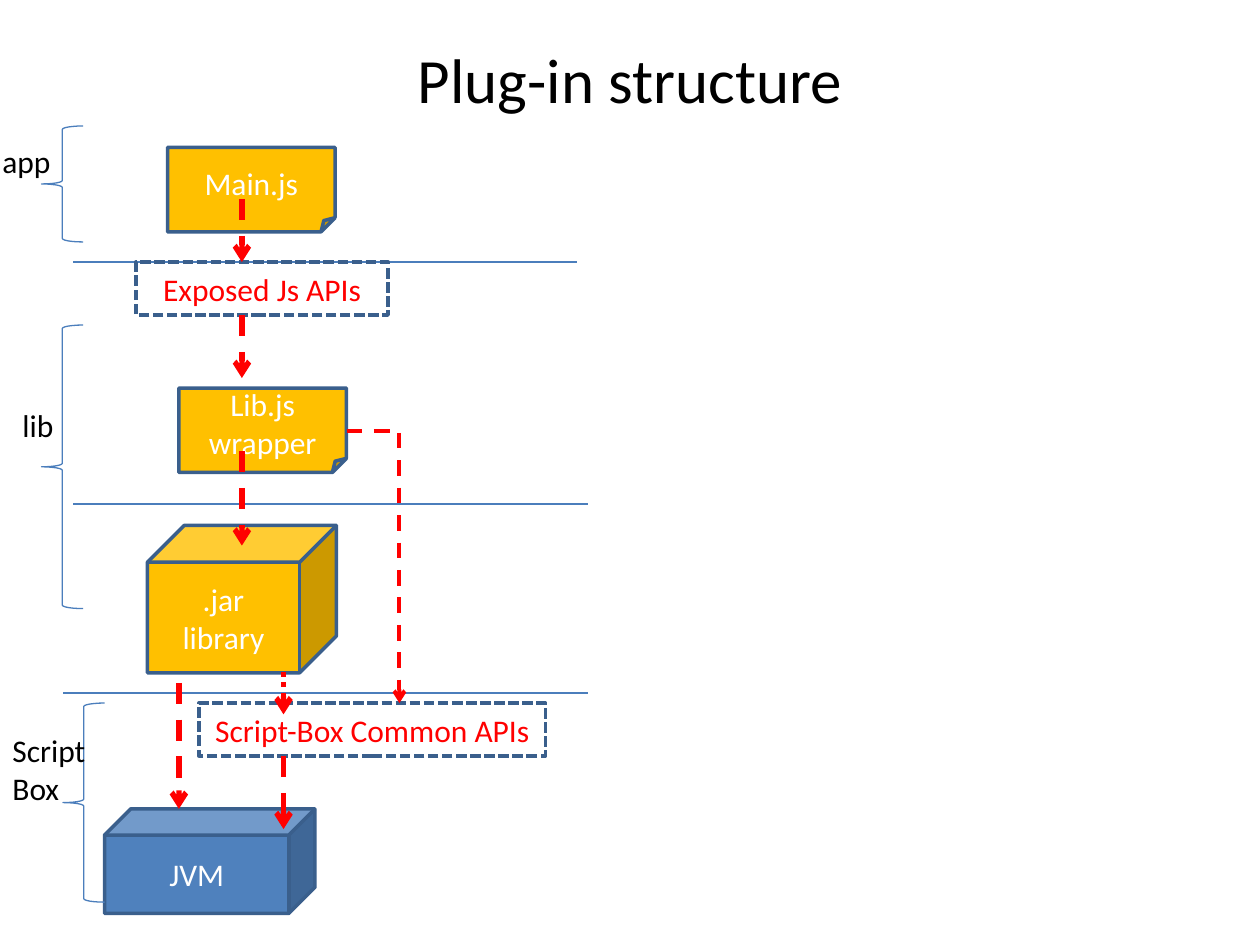
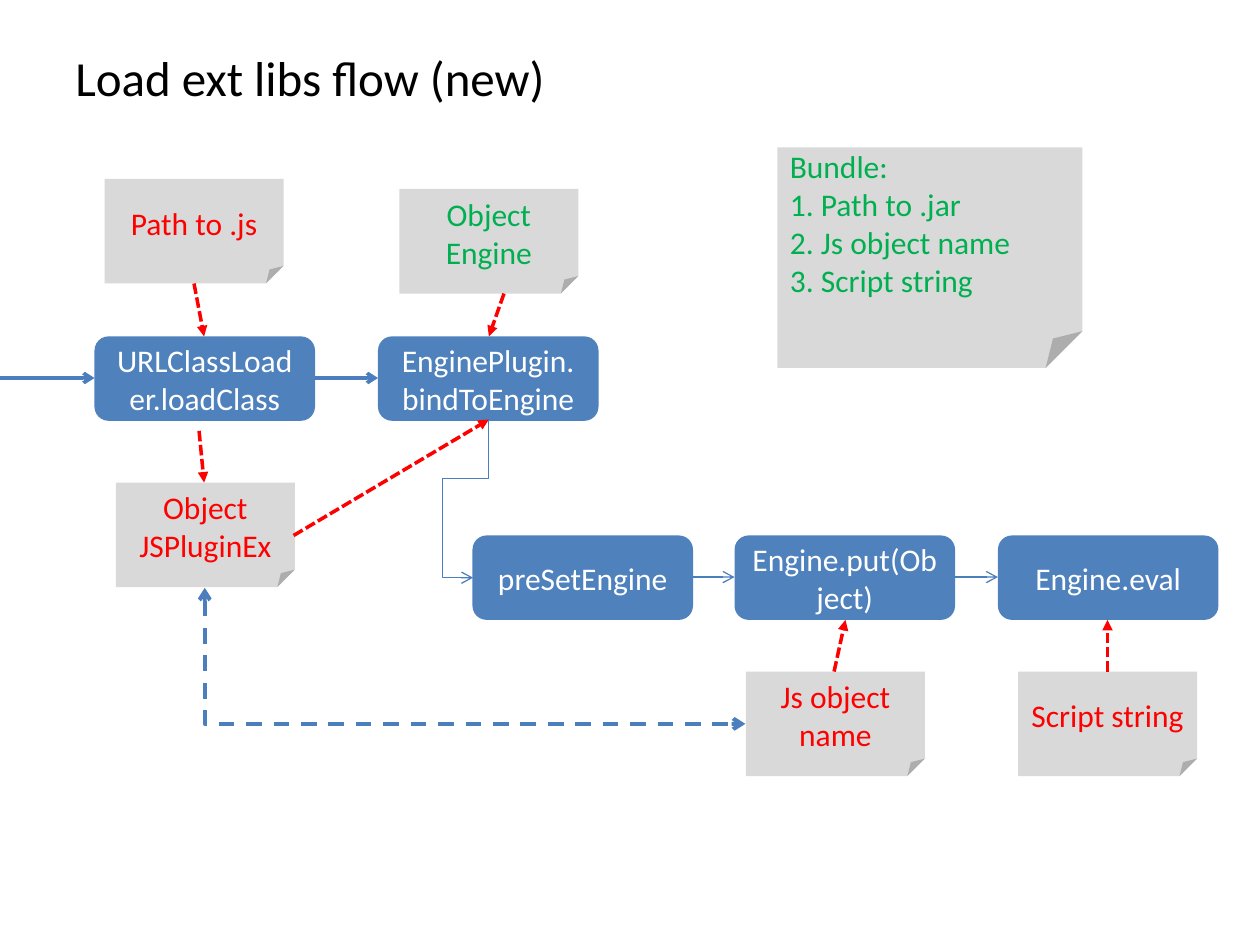
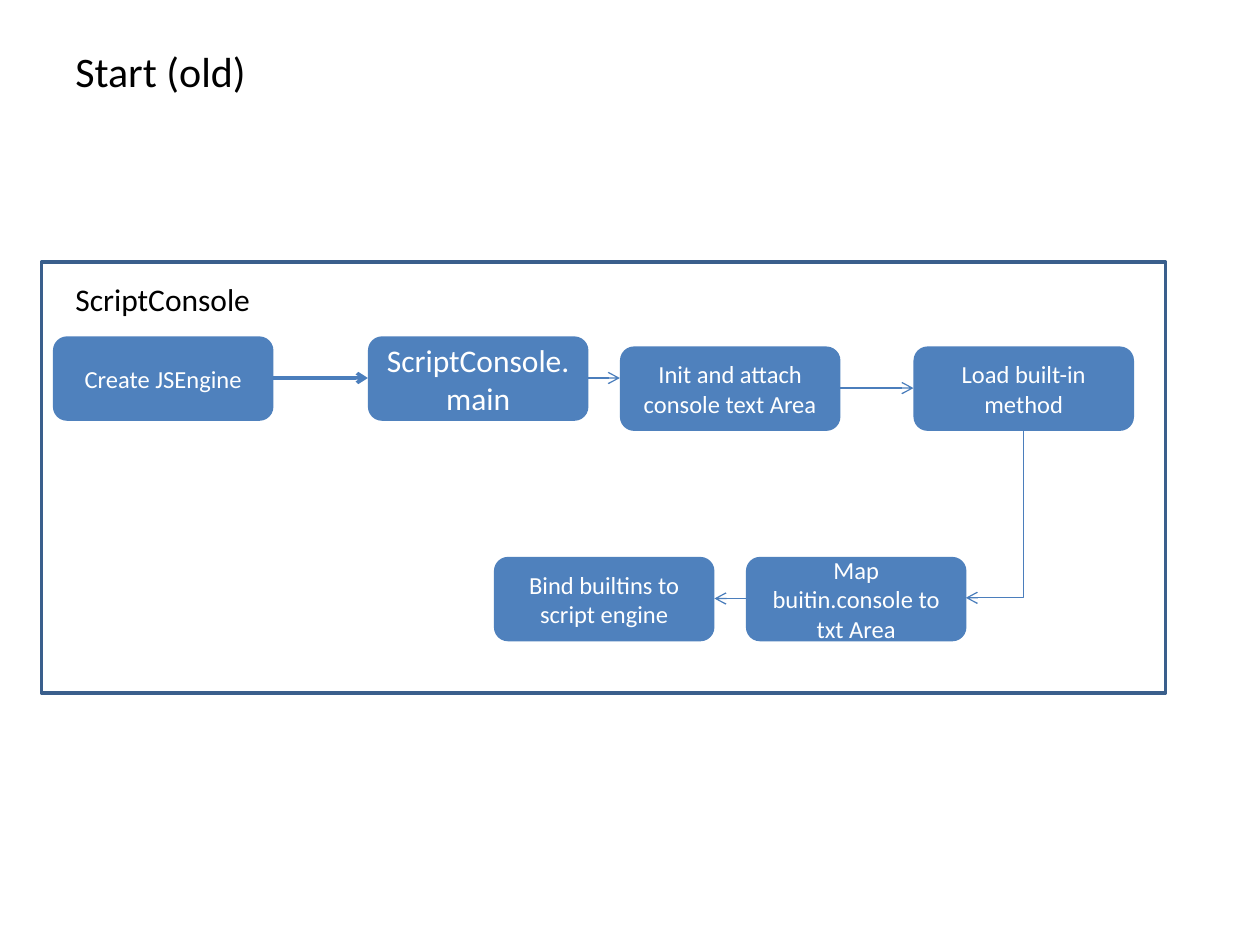
from lxml import etree
from pptx import Presentation
from pptx.dml.color import RGBColor
from pptx.enum import dml, shapes, text
from pptx.oxml.ns import qn
from pptx.util import Inches, Pt

BLUE = RGBColor(0x4F, 0x81, 0xBD)
LINE_BLUE = RGBColor(0x4B, 0x7E, 0xBC)
EDGE = RGBColor(0x3A, 0x5F, 0x8C)
GOLD = RGBColor(0xFF, 0xC0, 0x00)
GREY = RGBColor(0xD9, 0xD9, 0xD9)
RED = RGBColor(0xFF, 0x00, 0x00)
GREEN = RGBColor(0x00, 0xB0, 0x50)
WHITE = RGBColor(0xFF, 0xFF, 0xFF)
BLACK = RGBColor(0x00, 0x00, 0x00)

KIND = shapes.MSO_SHAPE
DASH = dml.MSO_LINE.DASH
SHORT_DASH = dml.MSO_LINE.SQUARE_DOT  # sysDash would be SQUARE_DOT's neighbour
ROUND_DOT = dml.MSO_LINE.ROUND_DOT
LEFT, CENTER = text.PP_ALIGN.LEFT, text.PP_ALIGN.CENTER
TOP, MIDDLE = text.MSO_ANCHOR.TOP, text.MSO_ANCHOR.MIDDLE
FONT = "Calibri"


def add_box(page, kind, place, words="", fill=None, edge=None, width=2, dash=None,
            size=18, color=WHITE, align=CENTER, wrap=True, frame_format=None):
    """Add a preset shape, or a text box when kind is None."""
    place = [Inches(value) for value in place]
    if kind is None:
        box = page.shapes.add_textbox(*place)
    else:
        box = page.shapes.add_shape(kind, *place)
        box.shadow.inherit = False
        if fill is None:
            box.fill.background()
        else:
            box.fill.solid()
            box.fill.fore_color.rgb = fill
        if edge is None:
            box.line.fill.background()
        else:
            box.line.color.rgb = edge
            box.line.width = Pt(width)
            if dash:
                set_dash = etree.SubElement(box.line._get_or_add_ln(), qn("a:prstDash"))
                set_dash.set("val", dash)
    if words:
        frame = box.text_frame
        frame.word_wrap = wrap
        for name, value in (frame_format or {}).items():
            setattr(frame, name, value)
        for index, line in enumerate(words.split("\n")):
            para = frame.paragraphs[0] if index == 0 else frame.add_paragraph()
            para.alignment = align
            span = para.add_run()
            span.text = line
            span.font.color.rgb = color
            for name, value in {"name": FONT, "size": Pt(size)}.items():
                setattr(span.font, name, value)
    return box


def add_line(page, start, end, color=LINE_BLUE, width=0.75, dash=None, head=None, tail=None,
             bend=None, rotation=0, adjust=()):
    """Add a straight line, or a bent one when bend names its preset."""
    style = shapes.MSO_CONNECTOR.ELBOW if bend else shapes.MSO_CONNECTOR.STRAIGHT
    line = page.shapes.add_connector(style, *[Inches(value) for value in (*start, *end)])
    line.line.color.rgb = color
    line.line.width = Pt(width)
    properties = line._element.spPr
    outline = line.line._get_or_add_ln()
    for tag, attribute, value in (("a:prstDash", "val", dash), ("a:headEnd", "type", head),
                                  ("a:tailEnd", "type", tail)):
        if value:
            etree.SubElement(outline, qn(tag)).set(attribute, value)
    etree.SubElement(properties, qn("a:effectLst"))
    if bend:
        properties.find(qn("a:xfrm")).set("rot", str(rotation * 60000))
        preset = properties.find(qn("a:prstGeom"))
        preset.set("prst", bend)
        guides = preset.find(qn("a:avLst"))
        for index, value in enumerate(adjust, 1):
            guide = etree.SubElement(guides, qn("a:gd"))
            guide.set("name", f"adj{index}")
            guide.set("fmla", f"val {round(value * 100000)}")


deck = Presentation()
deck.slide_width, deck.slide_height = Inches(10), Inches(7.5)

# Pages and titles
pages = []
for title, top, height, size, align in (
        ("Plug-in structure", 0, 1.25, 36, CENTER),
        ("Load ext libs flow (new)", 0.3, 0.62, 28, LEFT),
        ("Start (old)", 0.3, 0.53, 24, LEFT)):
    page = deck.slides.add_slide(deck.slide_layouts[6])
    add_box(page, None, (0.5, top, 9, height), title, size=size, color=BLACK, align=align,
            frame_format={"vertical_anchor": MIDDLE})
    pages.append(page)
structure, loading, starting = pages

# Structure: layer separators
for left, right, y in ((0.58, 4.58, 2.08), (0.58, 4.67, 4), (0.5, 4.67, 5.5)):
    add_line(structure, (left, y), (right, y))

# Structure: files, libraries and interfaces
for kind, place, words, fill in (
        (KIND.FOLDED_CORNER, (1.33, 1.17, 1.33, 0.67), "Main.js", GOLD),
        (KIND.FOLDED_CORNER, (1.42, 3.08, 1.33, 0.67), "Lib.js wrapper", GOLD),
        (KIND.CUBE, (1.17, 4.17, 1.5, 1.17), ".jar library", GOLD),
        (KIND.CUBE, (0.83, 6.42, 1.67, 0.83), "JVM", BLUE)):
    add_box(structure, kind, place, words, fill, EDGE)
for place, words in (((1.08, 2.08, 2, 0.42), "Exposed Js APIs"),
                     ((1.58, 5.58, 2.75, 0.42), "Script-Box Common APIs")):
    add_box(structure, KIND.RECTANGLE, place, words, edge=EDGE, dash="sysDash", color=RED)

# Structure: calls between layers
for x, top, bottom, dash in (
        (1.92, 1.58, 2.08, "dash"), (1.92, 2.5, 3, "dash"), (1.92, 3.58, 4.33, "dash"),
        (2.25, 5.33, 5.67, "sysDot"), (1.42, 5.42, 6.42, "dash"), (2.25, 6, 6.58, "dash")):
    add_line(structure, (x, top), (x, bottom), RED, 3, dash, tail="arrow")
add_line(structure, (2.75, 3.42), (3.17, 5.58), RED, 2.25, "dash", tail="arrow",
         bend="bentConnector2")

# Structure: braces with layer names
for brace, label, words in (
        ((0.33, 1, 0.33, 0.92), (-0.08, 1.08, 0.59, 0.4), "app"),
        ((0.33, 2.58, 0.33, 2.25), (0.08, 3.17, 0.45, 0.4), "lib"),
        ((0.5, 5.58, 0.33, 1.58), (0, 5.75, 0.79, 0.71), "Script\nBox")):
    add_box(structure, KIND.LEFT_BRACE, brace, edge=LINE_BLUE, width=0.75)
    add_box(structure, None, label, words, color=BLACK, align=LEFT, wrap=False)

# Loading and starting: steps
for page, left, top, words, size in (
        (loading, 0.75, 2.67, "URLClassLoader.loadClass", 18),
        (loading, 3, 2.67, "EnginePlugin.bindToEngine", 18),
        (loading, 3.75, 4.25, "preSetEngine", 18),
        (loading, 5.83, 4.25, "Engine.put(Object)", 18),
        (loading, 7.92, 4.25, "Engine.eval", 18),
        (starting, 0.42, 2.67, "Create JSEngine", 14),
        (starting, 2.92, 2.67, "ScriptConsole.main", 18),
        (starting, 4.92, 2.75, "Init and attach console text Area", 14),
        (starting, 7.25, 2.75, "Load built-in method", 14),
        (starting, 5.92, 4.42, "Map buitin.console to txt Area", 14),
        (starting, 3.92, 4.42, "Bind builtins to script engine", 14)):
    add_box(page, KIND.ROUNDED_RECTANGLE, (left, top, 1.75, 0.67), words, BLUE, size=size)

# Loading: data notes
for left, top, words, color in (
        (0.83, 1.42, "Path to .js", RED), (3.17, 1.5, "Object Engine", GREEN),
        (0.92, 3.83, "Object JSPluginEx", RED), (5.92, 5.33, "Js object name", RED),
        (8.08, 5.33, "Script string", RED)):
    add_box(loading, KIND.FOLDED_CORNER, (left, top, 1.42, 0.83), words, GREY, color=color)
add_box(loading, KIND.FOLDED_CORNER, (6.17, 1.17, 2.42, 1.75),
        "Bundle:\n1. Path to .jar\n2. Js object name\n3. Script string", GREY,
        color=GREEN, align=LEFT, frame_format={"vertical_anchor": TOP, "margin_top": 0})

# Loading: data arrows
for start, end in (
        ((1.54, 2.25), (1.62, 2.67)), ((1.58, 3.42), (1.62, 3.83)),
        ((4, 2.33), (3.88, 2.67)), ((2.33, 4.25), (3.88, 3.33)),
        ((6.62, 5.33), (6.71, 4.92)), ((8.79, 5.33), (8.79, 4.92))):
    add_line(loading, start, end, RED, 2, "sysDash", tail="triangle")

# Loading and starting: step arrows
for page, left, right, y, width in (
        (loading, 0, 0.75, 3, 2), (loading, 2.5, 3, 3, 2),
        (loading, 5.5, 5.83, 4.58, 0.75), (loading, 7.58, 7.92, 4.58, 0.75),
        (starting, 2.17, 2.92, 3, 2), (starting, 4.67, 4.92, 3, 0.75),
        (starting, 6.67, 7.25, 3.08, 0.75), (starting, 5.92, 5.67, 4.75, 0.75)):
    add_line(page, (left, y), (right, y), width=width, tail="arrow")

# Loading and starting: bent arrows, placed as they lie before rotation
add_line(loading, (3.19, 3.9), (4.44, 4.02), tail="arrow",
         bend="bentConnector4", rotation=90, adjust=(0.37, 3))
add_line(loading, (4.31, 3.06), (3.23, 7.35), width=2.25, dash="dash", head="arrow",
         tail="arrow", bend="bentConnector2", rotation=270)
add_line(starting, (7.23, 3.85), (8.56, 4.31), tail="arrow",
         bend="bentConnector2", rotation=90)

# Starting: console frame
add_box(starting, KIND.RECTANGLE, (0.33, 2.08, 8.92, 3.42), edge=EDGE)
add_box(starting, None, (0.5, 2.17, 1.6, 0.4), "ScriptConsole", color=BLACK, align=LEFT,
        wrap=False)

deck.save("out.pptx")
